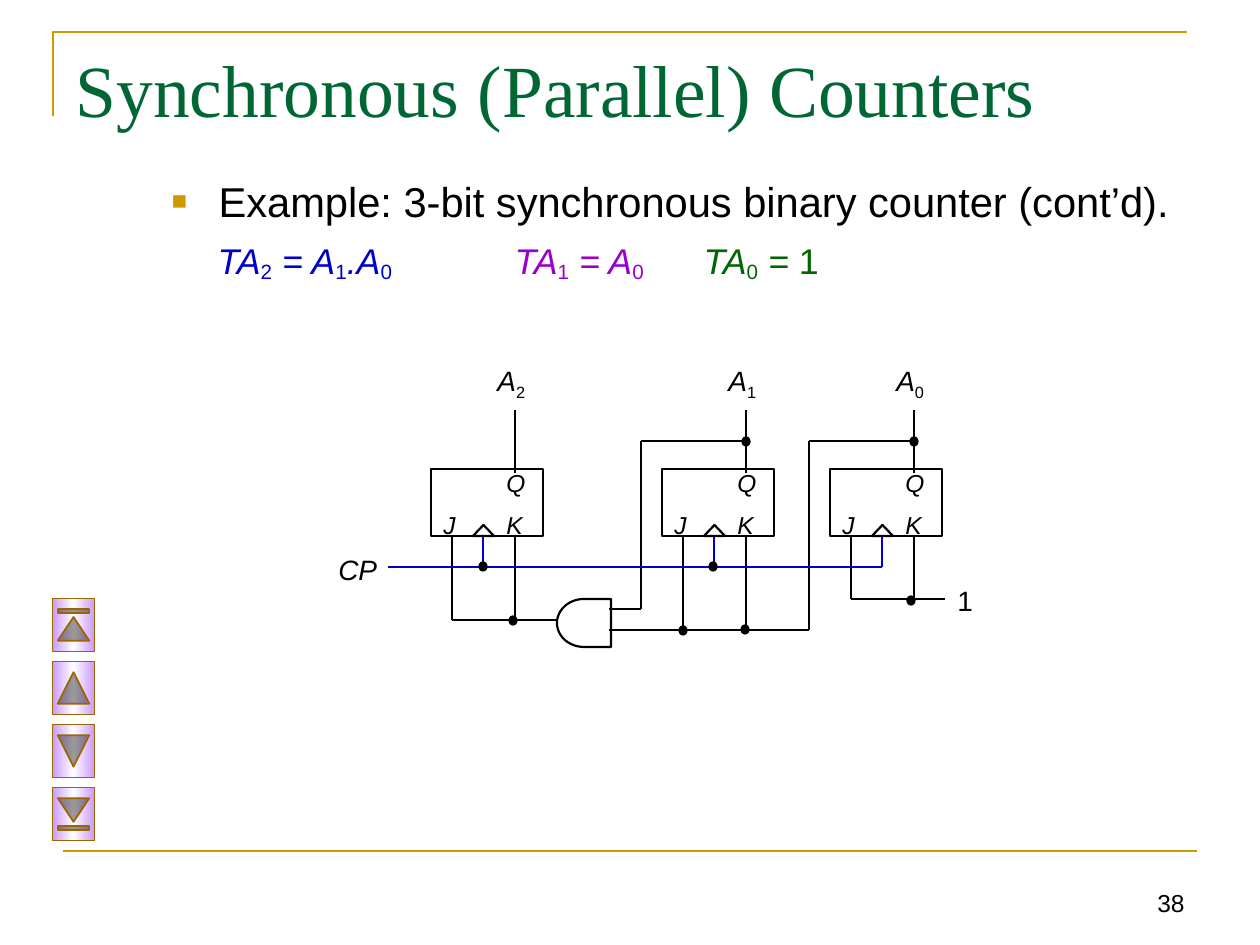
"""Build the slide on a 3-bit synchronous binary counter."""
import copy
import pptx
import pptx.util
import pptx.dml.color
import pptx.enum.shapes
import pptx.enum.text
import pptx.oxml
import pptx.oxml.ns

Pt = pptx.util.Pt
RGB = pptx.dml.color.RGBColor
KIND = pptx.enum.shapes.MSO_SHAPE
LINE = pptx.enum.shapes.MSO_CONNECTOR.STRAIGHT
ALIGN = pptx.enum.text.PP_ALIGN
ANCHOR = pptx.enum.text.MSO_ANCHOR
AUTO = pptx.enum.text.MSO_AUTO_SIZE
PX = 914400 / 126

BLACK = RGB(0, 0, 0)
WHITE = RGB(255, 255, 255)
GOLD = RGB(0xCC, 0x99, 0x00)
BROWN = RGB(0x99, 0x66, 0x00)
LILAC = RGB(0xCC, 0x99, 0xFF)
GREEN = RGB(0x00, 0x66, 0x33)
BLUE = RGB(0x00, 0x00, 0xCC)
VIOLET = RGB(0x99, 0x00, 0xCC)
LEAF = RGB(0x00, 0x66, 0x00)

TITLE = "Synchronous (Parallel) Counters"
LEAD = "Example: 3-bit synchronous binary counter (cont\u2019d)."
TERMS = [
    (BLUE, [("TA", "i"), ("2", "s"), (" = A", "i"), ("1", "s"), (".A", "i"), ("0\t\t", "s")]),
    (VIOLET, [("TA", "i"), ("1", "s"), (" = A", "i"), ("0\t", "s")]),
    (LEAF, [("TA", "i"), ("0", "s"), (" = ", "i"), ("1", "")]),
]
STOPS = (2, 3, 5)

FLOPS = [("2", 431), ("1", 662), ("0", 830)]
PINS = [("K", 63, 504, 42), ("Q", 63, 462, 44), ("J", 0, 504, 38)]
WIRES = [
    (BLACK, [(609, 630), (809, 630), (809, 441), (914, 441)]),
    (BLACK, [(609, 609), (641, 609), (641, 441), (746, 441)]),
    (BLACK, [(452, 536), (452, 620), (557, 620)]),
    (BLACK, [(515, 536), (515, 620)]),
    (BLACK, [(683, 536), (683, 630)]),
    (BLACK, [(746, 536), (746, 630)]),
    (BLACK, [(851, 536), (851, 599), (945, 599)]),
    (BLACK, [(914, 536), (914, 599)]),
    (BLUE, [(388, 567), (882, 567), (882, 536)]),
    (BLUE, [(483, 536), (483, 567)]),
    (BLUE, [(714, 536), (714, 567)]),
]
DOTS = [(910, 437), (742, 437), (741, 625), (709, 562),
        (479, 562), (509, 616), (679, 626), (907, 596)]
KEYS = [KIND.ACTION_BUTTON_BEGINNING, KIND.ACTION_BUTTON_BACK_OR_PREVIOUS,
        KIND.ACTION_BUTTON_FORWARD_OR_NEXT, KIND.ACTION_BUTTON_END]

deck = pptx.Presentation()
deck.slide_width, deck.slide_height = round(1260 * PX), round(945 * PX)
slide = deck.slides.add_slide(deck.slide_layouts[1])
shapes = slide.shapes


def emu(*nums):
    return [round(n * PX) for n in nums]


def node(text):
    head, tail = text.split(" ", 1) if " " in text else (text, "")
    return pptx.oxml.parse_xml(f"<a:{head} {pptx.oxml.ns.nsdecls('a')} {tail}/>")


def place(shape, *box):
    shape.left, shape.top, shape.width, shape.height = emu(*box)


def write(para, text, size, color=BLACK, style="", face="Arial", drop=-25):
    run = para.add_run()
    run.text = text
    font = run.font
    font.name, font.size, font.color.rgb = face, Pt(size), color
    font.italic = style == "i"
    if style == "s":
        run._r.get_or_add_rPr().set("baseline", str(drop * 1000))


def label(runs, size, *box):
    frame = shapes.add_textbox(*emu(*box)).text_frame
    frame.word_wrap = False
    for text, style in runs:
        write(frame.paragraphs[0], text, size, style=style)
    return frame


def wire(start, end, color=BLACK, width=1.25):
    link = shapes.add_connector(LINE, *emu(*start, *end))
    link.line.color.rgb, link.line.width = color, Pt(width)
    link._element.spPr.append(node("effectLst"))


def draw(kind, box, width=1.25, fill=None, color=BLACK):
    shape = shapes.add_shape(kind, *emu(*box))
    shape.shadow.inherit = False
    shape.line.color.rgb, shape.line.width = color, Pt(width)
    if fill is None:
        shape.fill.background()
    else:
        shape.fill.solid()
        shape.fill.fore_color.rgb = fill
    return shape


path = shapes.build_freeform(53, 116, scale=PX)
path.add_line_segments([(53, 32), (1187, 32)], close=False)
edge = path.convert_to_shape()
edge.shadow.inherit = False
edge.fill.background()
edge.line.color.rgb, edge.line.width = GOLD, Pt(1.5)
wire((63, 851), (1197, 851), GOLD, 1.5)

page = label([("38", "")], 14, 903, 861, 294, 63)
page.word_wrap = True
page.vertical_anchor = ANCHOR.BOTTOM
page.paragraphs[0].alignment = ALIGN.RIGHT

title = shapes.title
place(title, 63, 38, 1134, 158)
title.text_frame.auto_size = AUTO.NONE
title.text_frame.vertical_anchor = ANCHOR.TOP
head = title.text_frame.paragraphs[0]
head.alignment = ALIGN.LEFT
write(head, TITLE, 42, GREEN, face="Times New Roman")

body = slide.placeholders[1]
place(body, 158, 179, 1050, 116)
body.text_frame.auto_size = AUTO.NONE
lead = body.text_frame.paragraphs[0]
write(lead, LEAD, 23.8)
terms = body.text_frame.add_paragraph()
terms.level = 1
for color, runs in TERMS:
    for text, style in runs:
        write(terms, text, 20.4, color, style, drop=-14)
for para, gap, left, hang in ((lead, 14, 48, 48), (terms, 12, 92, 45)):
    para.line_spacing, para.space_before = 0.8, Pt(gap)
    props = para._p.get_or_add_pPr()
    props.set("marL", str(round(left * PX)))
    props.set("indent", str(round(-hang * PX)))
props = lead._p.pPr
tint = node("buClr")
tint.append(node(f'srgbClr val="{GOLD}"'))
for item in (tint, node('buSzPct val="120000"'), node('buFont typeface="Arial"'),
             node('buChar char="\u25aa"')):
    props.append(item)
props = terms._p.pPr
props.append(node("buNone"))
tabs = node("tabLst")
for stop in STOPS:
    tabs.append(node(f'tab pos="{stop * 914400}" algn="l"'))
props.append(tabs)

for color, points in WIRES:
    for start, end in zip(points, points[1:]):
        wire(start, end, color)
gate = draw(KIND.FLOWCHART_DELAY, (557, 599, 54, 48))
gate._element.spPr.xfrm.set("flipH", "1")

for index, left in FLOPS:
    wire((left + 84, 410), (left + 84, 473))
    label([("A", "i"), (index, "s")], 16, left + 54, 357, 53, 52)
    for pin, shift, top, width in PINS:
        label([(pin, "i")], 14, left + shift, top, width, 43)
    draw(KIND.RECTANGLE, (left, 469, 112, 67), 1.5)
    draw(KIND.ISOSCELES_TRIANGLE, (left + 42, 525, 21, 11))
label([("CP", "i")], 16, 326, 546, 64, 47)
label([("1", "")], 16, 945, 577, 40, 47)
for dot in DOTS:
    draw(KIND.OVAL, (*dot, 8, 9), 0.75, BLACK)

for row, kind in enumerate(KEYS):
    key = draw(kind, (47, 604 + 63 * row, 53, 42), 1, color=BROWN)
    key.rotation = 90
    key.fill.gradient()
    key.fill.gradient_angle = 270
    stops = key.fill._fill._gradFill.gsLst
    stops.append(copy.deepcopy(stops[0]))
    for stop, color, spot in zip(key.fill.gradient_stops, (LILAC, WHITE, LILAC), (0, 0.5, 1)):
        stop.color.rgb, stop.position = color, spot

deck.save("out.pptx")
